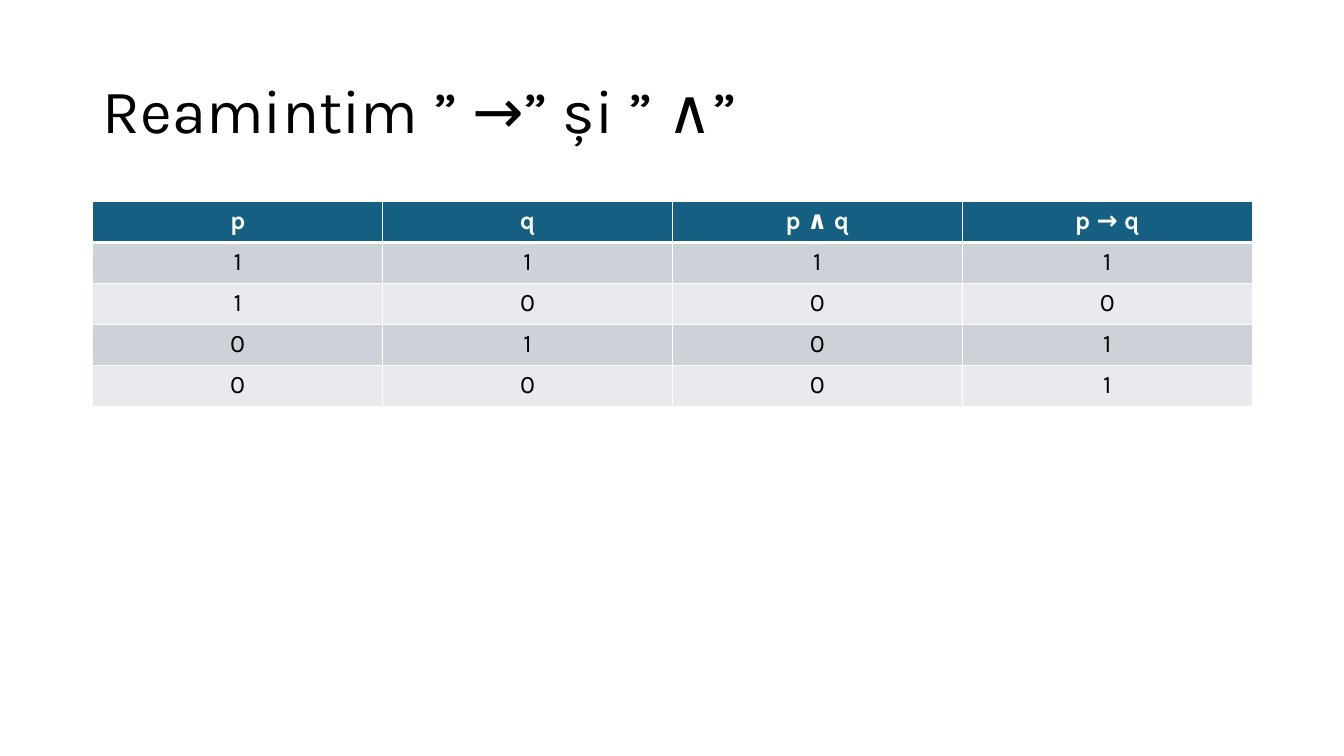
from itertools import product

from lxml.etree import SubElement
from pptx import Presentation
from pptx.dml.color import RGBColor
from pptx.enum.text import MSO_ANCHOR, MSO_AUTO_SIZE, PP_ALIGN
from pptx.oxml.ns import qn
from pptx.util import Inches, Pt

COLORS = {
    "text": "000000",
    "header": "156082",
    "header_text": "FFFFFF",
    "odd_row": "CCD2D8",
    "even_row": "E8EAED",
    "border": "FFFFFF",
}
FONT = "Karla"
LEFT, WIDTH = 0.92, 11.5
TITLE_BOX = (LEFT, 0.4, WIDTH, 1.45)
TABLE_BOX = (LEFT, 2, WIDTH, 2.03)
HEADERS = ["p", "q", "p ∧ q", "p → q"]


def format_paragraph(paragraph, color, alignment, **font_values):
    paragraph.alignment = alignment
    for name, value in {"name": FONT, **font_values}.items():
        setattr(paragraph.font, name, value)
    paragraph.font.color.rgb = RGBColor.from_string(COLORS[color])


def add_borders(cell, widths):
    properties = cell._tc.get_or_add_tcPr()
    for side, width in widths.items():
        line = SubElement(properties, qn(f"a:ln{side}"), w=str(Pt(width)))
        fill = SubElement(line, qn("a:solidFill"))
        SubElement(fill, qn("a:srgbClr"), val=COLORS["border"])


def add_title(slide, box, text):
    title = slide.shapes.title
    title.left, title.top, title.width, title.height = map(Inches, box)
    frame = title.text_frame
    frame.text = text
    frame_format = {
        "word_wrap": True,
        "auto_size": MSO_AUTO_SIZE.NONE,
        "vertical_anchor": MSO_ANCHOR.MIDDLE,
    }
    for name, value in frame_format.items():
        setattr(frame, name, value)
    paragraph = frame.paragraphs[0]
    paragraph.line_spacing = 0.9
    format_paragraph(paragraph, "text", PP_ALIGN.LEFT, size=Pt(44))


def add_truth_table(slide, box, rows):
    shape = slide.shapes.add_table(len(rows), len(rows[0]), *map(Inches, box))
    for row_index, values in enumerate(rows):
        is_header = row_index == 0
        band = "odd_row" if row_index % 2 else "even_row"
        # The rule below the header is thicker than the other lines
        widths = {"L": 1, "R": 1, "T": 3 if row_index == 1 else 1,
                  "B": 3 if is_header else 1}
        for column_index, value in enumerate(values):
            cell = shape.table.cell(row_index, column_index)
            cell.text = str(value)
            add_borders(cell, widths)
            cell.fill.solid()
            fill_color = COLORS["header" if is_header else band]
            cell.fill.fore_color.rgb = RGBColor.from_string(fill_color)
            format_paragraph(
                cell.text_frame.paragraphs[0],
                "header_text" if is_header else "text",
                PP_ALIGN.CENTER, size=Pt(18), bold=is_header)


def main():
    presentation = Presentation()
    presentation.slide_width = Inches(13.33)
    presentation.slide_height = Inches(7.5)
    slide = presentation.slides.add_slide(presentation.slide_layouts[5])

    add_title(slide, TITLE_BOX, "Reamintim ” →” și ” ∧”")
    # Conjunction and implication for every pair of truth values
    truth_rows = [[p, q, p & q, int(p <= q)]
                  for p, q in product((1, 0), repeat=2)]
    add_truth_table(slide, TABLE_BOX, [HEADERS] + truth_rows)

    presentation.save("out.pptx")


if __name__ == "__main__":
    main()
